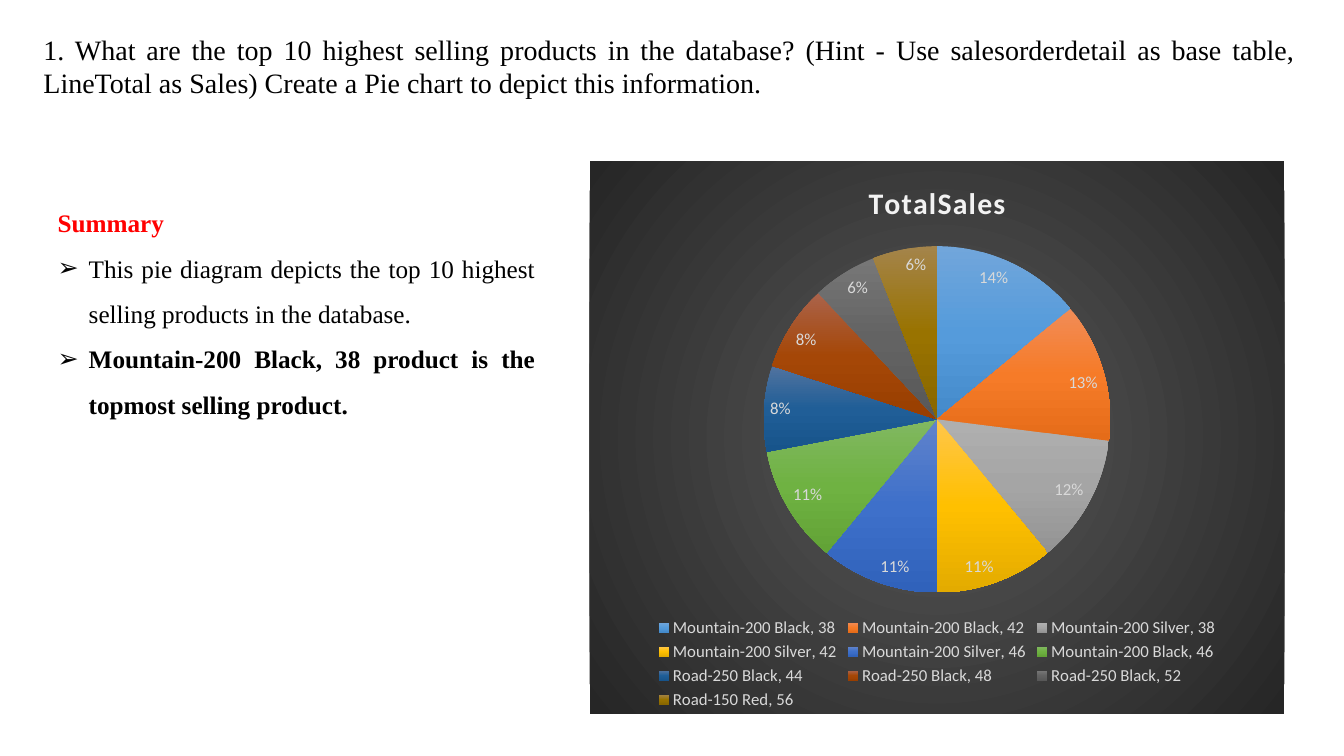
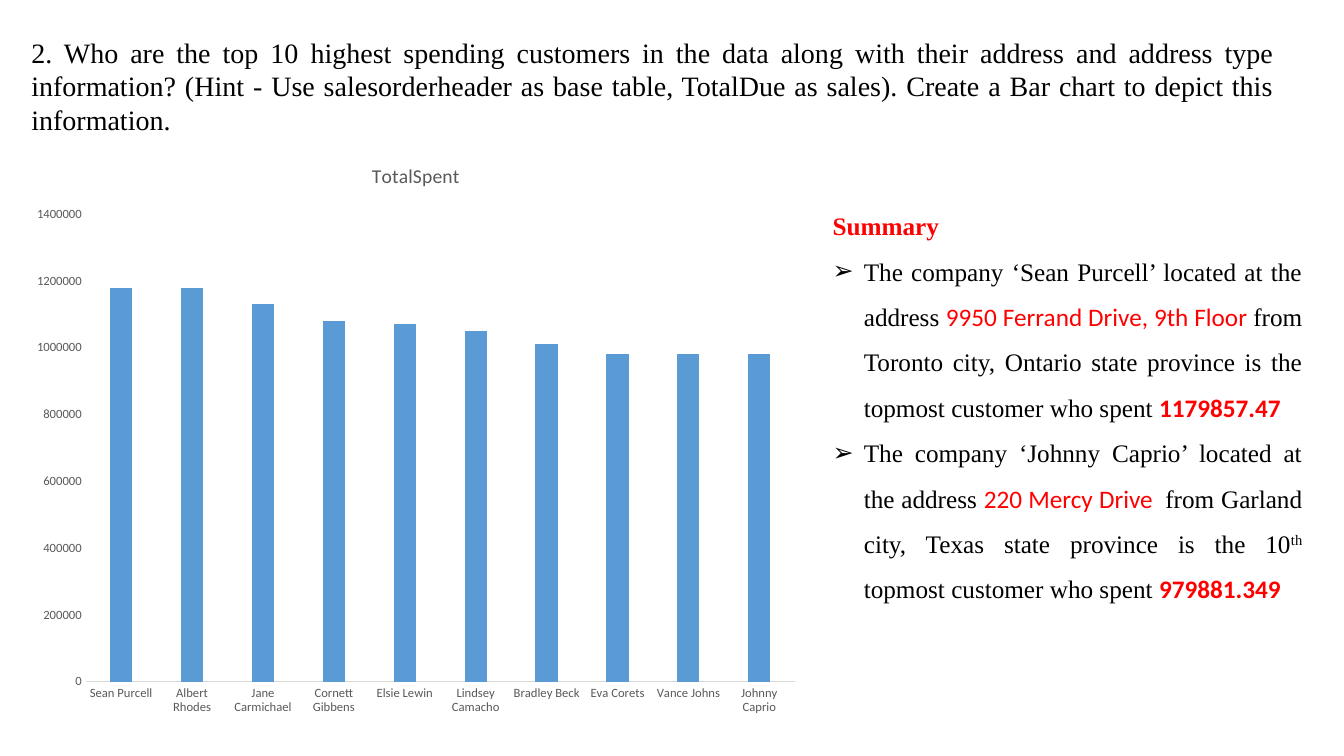
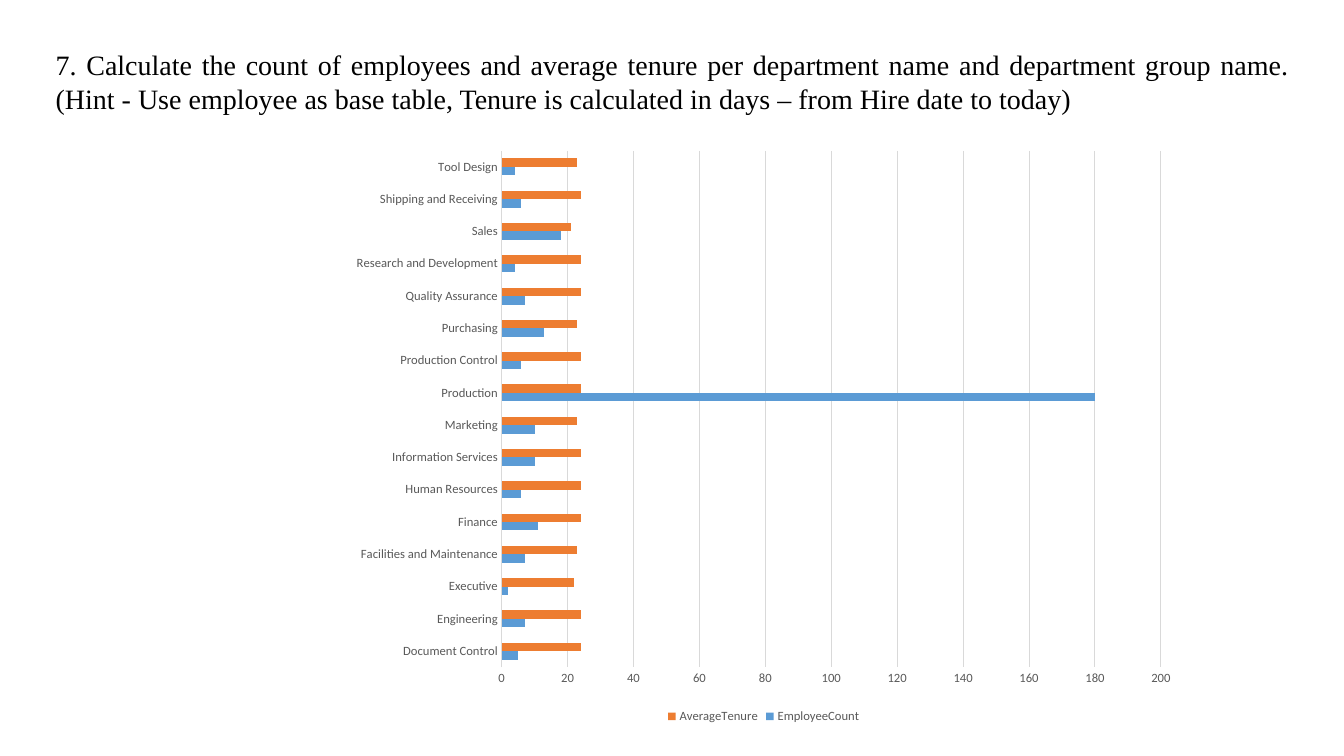
from pptx import Presentation
from pptx.chart.data import CategoryChartData
from pptx.dml.color import RGBColor
from pptx.enum.chart import (XL_CHART_TYPE, XL_LABEL_POSITION,
                             XL_LEGEND_POSITION, XL_TICK_MARK)
from pptx.enum.text import MSO_ANCHOR, MSO_AUTO_SIZE, PP_ALIGN
from pptx.oxml import parse_xml
from pptx.oxml.ns import nsdecls, qn
from pptx.util import Inches, Pt

SLIDE_W, SLIDE_H = Inches(13.333), Inches(7.5)
TITLE_AND_BODY, TITLE_ONLY = 1, 5
SERIF, SANS = "Times New Roman", "Calibri"
COLORS = {
    "text": "000000", "accent": "FF0000", "axis": "595959", "rule": "D9D9D9",
    "blue": "5B9BD5", "orange": "ED7D31",
    "pie_title": "F2F2F2", "pie_text": "D9D9D9",
    "panel_inner": "595959", "panel_outer": "262626",
}
# Top, middle and bottom shade of each slice
SLICE_SHADES = [
    ("71A6DB", "559BDB", "448ACA"), ("F18C57", "F67B28", "E56C19"),
    ("AFAFAF", "A5A5A5", "939393"), ("FFC64B", "FFC000", "E3AB00"),
    ("6183CB", "3E70CA", "3062BB"), ("81B861", "6FB242", "62A336"),
    ("51739F", "205E97", "17548B"), ("AB634B", "A54707", "983E00"),
    ("777777", "636363", "585858"), ("A4844B", "997300", "886600"),
]
# Run styles of the summaries: font, colour, bold
RUN_STYLES = {
    "heading": (SERIF, "accent", True),
    "plain": (SERIF, "text", False),
    "strong": (SERIF, "text", True),
    "raised": (SERIF, "text", False),
    "address": (SANS, "accent", False),
    "amount": (SANS, "accent", True),
}


# Shared helpers
def area(left, top, width, height):
    """Turn percentages of the slide into left, top, width, height."""
    return (int(SLIDE_W * left / 100), int(SLIDE_H * top / 100),
            int(SLIDE_W * width / 100), int(SLIDE_H * height / 100))


def style_font(font, size, color, name=SANS, bold=False):
    font.size, font.name, font.bold = Pt(size), name, bold
    font.color.rgb = RGBColor.from_string(COLORS[color])


def gradient(shades, direction):
    last = len(shades) - 1
    stops = "".join(
        f'<a:gs pos="{100000 * i // last}"><a:srgbClr val="{shade}"/></a:gs>'
        for i, shade in enumerate(shades))
    return (f'<a:gradFill {nsdecls("a")}><a:gsLst>{stops}</a:gsLst>'
            f'{direction}</a:gradFill>')


# Text
def place_text(shape, spot):
    shape.left, shape.top, shape.width, shape.height = area(*spot)
    frame = shape.text_frame
    frame.word_wrap = True
    frame.auto_size = MSO_AUTO_SIZE.SHAPE_TO_FIT_TEXT
    frame.vertical_anchor = MSO_ANCHOR.TOP
    return frame


def format_paragraph(paragraph, spacing, bullet=None):
    paragraph.alignment = PP_ALIGN.JUSTIFY
    paragraph.line_spacing = spacing
    paragraph.space_before = paragraph.space_after = Pt(0)
    props = paragraph._p.get_or_add_pPr()
    indent = Inches(0.31) if bullet else 0
    props.set("marL", str(indent))
    props.set("indent", str(-indent))
    mark = f'buChar {nsdecls("a")} char="{bullet}"' if bullet else f'buNone {nsdecls("a")}'
    props.append(parse_xml(f"<a:{mark}/>"))


def add_run(paragraph, text, style):
    run = paragraph.add_run()
    run.text = text
    name, color, bold = RUN_STYLES[style]
    style_font(run.font, 18, color, name, bold)
    if style == "raised":
        run._r.get_or_add_rPr().set("baseline", "30000")


def add_question(prs, layout, text, spot):
    slide = prs.slides.add_slide(prs.slide_layouts[layout])
    paragraph = place_text(slide.shapes.title, spot).paragraphs[0]
    format_paragraph(paragraph, 1.0)
    run = paragraph.add_run()
    run.text = text
    style_font(run.font, 20, "text", SERIF)
    return slide


def add_summary(slide, spot, points):
    frame = place_text(slide.placeholders[1], spot)
    heading = frame.paragraphs[0]
    format_paragraph(heading, 1.5)
    add_run(heading, "Summary", "heading")
    for runs in points:
        paragraph = frame.add_paragraph()
        format_paragraph(paragraph, 1.5, "\u27a2")
        for text, style in runs:
            add_run(paragraph, text, style)


# Charts
def add_chart(slide, kind, spot, categories, series):
    data = CategoryChartData()
    data.categories = categories
    for name, values in series.items():
        data.add_series(name, values)
    chart = slide.shapes.add_chart(kind, *area(*spot), data).chart
    style_font(chart.font, 10, "text")
    chart.has_title = chart.has_legend = False
    return chart


def add_chart_title(chart, text, size, color, bold=False):
    chart.has_title = True
    paragraph = chart.chart_title.text_frame.paragraphs[0]
    run = paragraph.add_run()
    run.text = text
    style_font(run.font, size, color, bold=bold)
    return run


def add_legend(chart, size, color):
    chart.has_legend = True
    chart.legend.position = XL_LEGEND_POSITION.BOTTOM
    chart.legend.include_in_layout = False
    style_font(chart.legend.font, size, color)


def rule_line(line):
    line.color.rgb = RGBColor.from_string(COLORS["rule"])
    line.width = Pt(0.75)


def style_bars(chart, colors, gap, overlap, top, step, grid):
    plot = chart.plots[0]
    plot.gap_width, plot.overlap, plot.vary_by_categories = gap, overlap, False
    for series, color in zip(plot.series, colors):
        series.format.fill.solid()
        series.format.fill.fore_color.rgb = RGBColor.from_string(COLORS[color])
    for axis in (chart.category_axis, chart.value_axis):
        axis.major_tick_mark = axis.minor_tick_mark = XL_TICK_MARK.NONE
        style_font(axis.tick_labels.font, 9, "axis")
    rule_line(chart.category_axis.format.line)
    values = chart.value_axis
    values.minimum_scale, values.maximum_scale, values.major_unit = 0, top, step
    values.format.line.fill.background()
    values.has_major_gridlines = grid
    if grid:
        rule_line(values.major_gridlines.format.line)


def fill_panel(chart):
    """Give the chart area a square, radially shaded background."""
    body = chart.element.find(qn("c:chart"))
    body.addprevious(parse_xml(f'<c:roundedCorners {nsdecls("c")} val="0"/>'))
    centre = ('<a:path path="circle">'
              '<a:fillToRect l="50000" t="50000" r="50000" b="50000"/></a:path>')
    shades = (COLORS["panel_inner"], COLORS["panel_outer"])
    body.addnext(parse_xml(
        f'<c:spPr {nsdecls("c", "a")}>{gradient(shades, centre)}'
        '<a:ln><a:noFill/></a:ln></c:spPr>'))


def style_pie(chart):
    plot = chart.plots[0]
    plot.vary_by_categories = True
    for i, shades in enumerate(SLICE_SHADES):
        slice_format = plot.series[0].points[i].format
        slice_format.line.fill.background()
        slice_format.element.get_or_add_spPr().insert(
            0, parse_xml(gradient(shades, '<a:lin ang="5400000" scaled="0"/>')))
    plot.has_data_labels = True
    labels = plot.data_labels
    labels.show_percentage, labels.show_value = True, False
    labels.number_format, labels.number_format_is_linked = "0%", False
    labels.position = XL_LABEL_POSITION.INSIDE_END
    style_font(labels.font, 12, "pie_text")


# Slides
def products_slide(prs):
    slide = add_question(
        prs, TITLE_AND_BODY,
        "1. What are the top 10 highest selling products in the database? "
        "(Hint - Use salesorderdetail as base table, LineTotal as Sales) "
        "Create a Pie chart to depict this information.",
        (2.48, 3.6, 94.65, 10.27))
    products = ["Mountain-200 Black, 38", "Mountain-200 Black, 42",
                "Mountain-200 Silver, 38", "Mountain-200 Silver, 42",
                "Mountain-200 Silver, 46", "Mountain-200 Black, 46",
                "Road-250 Black, 44", "Road-250 Black, 48",
                "Road-250 Black, 52", "Road-150 Red, 56"]
    chart = add_chart(slide, XL_CHART_TYPE.PIE, (43.88, 21.33, 51.68, 73.07), products,
                      {"TotalSales": [14, 13, 12, 11, 11, 11, 8, 8, 6, 6]})
    fill_panel(chart)
    title = add_chart_title(chart, "TotalSales", 21.3, "pie_title", bold=True)
    title._r.get_or_add_rPr().set("spc", "100")
    style_pie(chart)
    add_legend(chart, 12, "pie_text")
    add_summary(slide, (3.53, 24.8, 37.05, 30.93), [
        [("This pie diagram depicts the top 10 highest selling products "
          "in the database.", "plain")],
        [("Mountain-200 Black, 38 product is the topmost selling product.", "strong")],
    ])


def customers_slide(prs):
    slide = add_question(
        prs, TITLE_AND_BODY,
        "2. Who are the top 10 highest spending customers in the data along with "
        "their address and address type information? (Hint - Use salesorderheader "
        "as base table, TotalDue as sales). Create a Bar chart to depict this "
        "information.",
        (1.58, 4, 93.98, 14.8))
    spending = {
        "Sean Purcell": 1180000, "Albert Rhodes": 1180000,
        "Jane Carmichael": 1130000, "Cornett Gibbens": 1080000,
        "Elsie Lewin": 1070000, "Lindsey Camacho": 1050000,
        "Bradley Beck": 1010000, "Eva Corets": 980000,
        "Vance Johns": 980000, "Johnny Caprio": 980000,
    }
    chart = add_chart(slide, XL_CHART_TYPE.COLUMN_CLUSTERED, (1.58, 18.8, 58.73, 77.33),
                      list(spending), {"TotalSpent": list(spending.values())})
    add_chart_title(chart, "TotalSpent", 14, "axis")
    style_bars(chart, ["blue"], gap=219, overlap=-27, top=1400000, step=200000, grid=False)
    add_summary(slide, (61.2, 25.2, 36.45, 55.2), [
        [("The company ‘Sean Purcell’ located at the address ", "plain"),
         ("9950 Ferrand Drive, 9th Floor ", "address"),
         ("from Toronto city, Ontario state province is the topmost customer "
          "who spent ", "plain"),
         ("1179857.47", "amount")],
        [("The company ‘Johnny Caprio’ located at the address ", "plain"),
         ("220 Mercy Drive  ", "address"),
         ("from Garland city, Texas state province is the 10", "plain"),
         ("th", "raised"),
         (" topmost customer who spent ", "plain"),
         ("979881.349", "amount")],
    ])


def departments_slide(prs):
    slide = add_question(
        prs, TITLE_ONLY,
        "7. Calculate the count of employees and average tenure per department name "
        "and department group name. (Hint - Use employee as base table, Tenure is "
        "calculated in days – from Hire date to today)",
        (3.38, 5.6, 93.3, 10.27))
    # Department: employees, average tenure
    departments = {
        "Document Control": (5, 24), "Engineering": (7, 24), "Executive": (2, 22),
        "Facilities and Maintenance": (7, 23), "Finance": (11, 24),
        "Human Resources": (6, 24), "Information Services": (10, 24),
        "Marketing": (10, 23), "Production": (180, 24),
        "Production Control": (6, 24), "Purchasing": (13, 23),
        "Quality Assurance": (7, 24), "Research and Development": (4, 24),
        "Sales": (18, 21), "Shipping and Receiving": (6, 24), "Tool Design": (4, 23),
    }
    counts, tenures = zip(*departments.values())
    chart = add_chart(slide, XL_CHART_TYPE.BAR_CLUSTERED, (25.28, 18.4, 63.08, 77.87),
                      list(departments),
                      {"EmployeeCount": counts, "AverageTenure": tenures})
    style_bars(chart, ["blue", "orange"], gap=182, overlap=0, top=200, step=20, grid=True)
    add_legend(chart, 9, "axis")


def main():
    prs = Presentation()
    prs.slide_width, prs.slide_height = SLIDE_W, SLIDE_H
    products_slide(prs)
    customers_slide(prs)
    departments_slide(prs)
    prs.save("out.pptx")


main()
